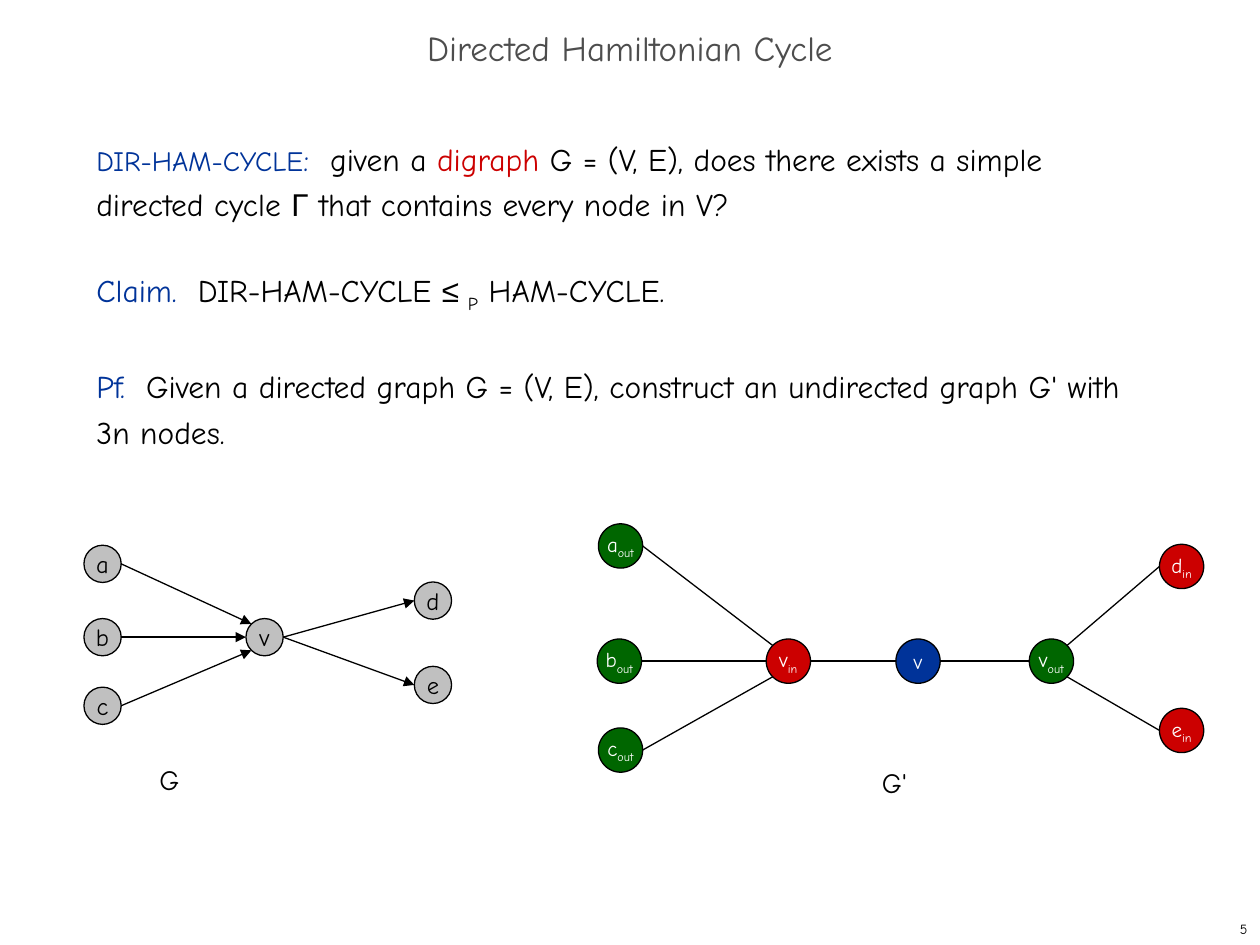
from math import cos, radians, sin
from typing import NamedTuple, Optional

from lxml.etree import SubElement
from pptx import Presentation
from pptx.dml.color import RGBColor
from pptx.enum.shapes import MSO_CONNECTOR as Link, MSO_SHAPE as Shape
from pptx.enum.text import MSO_ANCHOR as Anchor, MSO_AUTO_SIZE as AutoSize, PP_ALIGN as Align
from pptx.oxml.ns import qn
from pptx.util import Pt

BLACK = RGBColor(0x00, 0x00, 0x00)
WHITE = RGBColor(0xFF, 0xFF, 0xFF)
SLATE = RGBColor(0x4D, 0x4D, 0x4D)
GRAY = RGBColor(0xC0, 0xC0, 0xC0)
BLUE = RGBColor(0x00, 0x33, 0x99)
RED = RGBColor(0xCC, 0x00, 0x00)
GREEN = RGBColor(0x00, 0x66, 0x00)
FONT = "Comic Neue"

# Directions from a node's centre, in degrees clockwise from the right
RIGHT, LOWER_RIGHT, LOWER_LEFT, LEFT, UPPER_LEFT, UPPER_RIGHT = 0, 45, 135, 180, 225, 315


class Span(NamedTuple):
    text: str
    color: RGBColor = BLACK
    size: float = 18
    font: str = FONT
    subscript: bool = False


class Node(NamedTuple):
    x: float
    y: float
    label: str
    subscript: str = ""
    fill: RGBColor = GRAY


class Edge(NamedTuple):
    start: str
    start_angle: float
    end: str
    end_angle: float


class Graph(NamedTuple):
    nodes: dict[str, Node]
    edges: list[Edge]
    diameter: float
    text_size: float
    text_color: RGBColor
    directed: bool


def add_spans(para, spans: list[Span]) -> None:
    for span in spans:
        run = para.add_run()
        run.text = span.text
        run.font.size = Pt(span.size)
        run.font.name = span.font
        run.font.color.rgb = span.color
        if span.subscript:
            run.font._element.set("baseline", "-25000")


def add_text(page, left: float, top: float, width: float, height: float,
             paragraphs: list[list[Span]], line_pitch: Optional[float] = None,
             align: Align = Align.LEFT, anchor: Anchor = Anchor.TOP) -> None:
    box = page.shapes.add_textbox(Pt(left), Pt(top), Pt(width), Pt(height))
    frame = box.text_frame
    frame.word_wrap = True
    frame.vertical_anchor = anchor
    for index, spans in enumerate(paragraphs):
        para = frame.add_paragraph() if index else frame.paragraphs[0]
        para.alignment = align
        if line_pitch:
            para.line_spacing = Pt(line_pitch)
            if index:
                para.space_before = Pt(line_pitch)
        add_spans(para, spans)


def add_node(page, node: Node, graph: Graph) -> None:
    size = graph.diameter
    circle = page.shapes.add_shape(Shape.OVAL, Pt(node.x - size / 2), Pt(node.y - size / 2),
                                   Pt(size), Pt(size))
    circle.shadow.inherit = False
    circle.fill.solid()
    circle.fill.fore_color.rgb = node.fill
    circle.line.color.rgb = BLACK
    circle.line.width = Pt(0.75)
    frame = circle.text_frame
    frame.word_wrap = False
    frame.vertical_anchor = Anchor.MIDDLE
    para = frame.paragraphs[0]
    para.alignment = Align.CENTER
    spans = [Span(node.label, graph.text_color, graph.text_size)]
    if node.subscript:
        spans.append(Span(node.subscript, graph.text_color, graph.text_size, subscript=True))
    add_spans(para, spans)


def rim_point(node: Node, angle: float, diameter: float) -> tuple[Pt, Pt]:
    turn = radians(angle)
    return Pt(node.x + diameter / 2 * cos(turn)), Pt(node.y + diameter / 2 * sin(turn))


def add_edge(page, edge: Edge, graph: Graph) -> None:
    start = rim_point(graph.nodes[edge.start], edge.start_angle, graph.diameter)
    end = rim_point(graph.nodes[edge.end], edge.end_angle, graph.diameter)
    line = page.shapes.add_connector(Link.STRAIGHT, *start, *end)
    line.line.color.rgb = BLACK
    line.line.width = Pt(0.75)
    if graph.directed:
        SubElement(line.line._get_or_add_ln(), qn("a:tailEnd"), type="triangle")
    SubElement(line._element.spPr, qn("a:effectLst"))


def add_graph(page, graph: Graph) -> None:
    for node in graph.nodes.values():
        add_node(page, node, graph)
    for edge in graph.edges:
        add_edge(page, edge, graph)


STATEMENTS = [
    [Span("DIR-HAM-CYCLE", BLUE, 16), Span(":  ", BLUE), Span("given a "), Span("digraph", RED),
     Span(" G = (V, E), does there exists a simple directed cycle "),
     Span("Γ", font="Arial"), Span(" that contains every node in V?")],
    [Span("Claim.  ", BLUE), Span("DIR-HAM-CYCLE "), Span("≤ ", font="Arial"),
     Span("P", subscript=True), Span(" HAM-CYCLE.")],
    [Span("Pf.  ", BLUE),
     Span("Given a directed graph G = (V, E), construct an undirected graph G' with 3n nodes.")],
]

DIGRAPH = Graph(
    nodes={
        "v": Node(151.2, 364.1, "v"),
        "a": Node(58.6, 322.2, "a"),
        "b": Node(58.6, 364.1, "b"),
        "c": Node(58.6, 403.3, "c"),
        "d": Node(247.4, 343.2, "d"),
        "e": Node(247.4, 391.4, "e"),
    },
    edges=[
        Edge("a", RIGHT, "v", UPPER_LEFT),
        Edge("b", RIGHT, "v", LEFT),
        Edge("c", RIGHT, "v", LOWER_LEFT),
        Edge("v", RIGHT, "d", LEFT),
        Edge("v", RIGHT, "e", LEFT),
    ],
    diameter=21.3, text_size=14, text_color=BLACK, directed=True)

UNDIRECTED = Graph(
    nodes={
        "a": Node(354.6, 312, "a", "out", GREEN),
        "b": Node(353.9, 377.8, "b", "out", GREEN),
        "c": Node(354.6, 428.6, "c", "out", GREEN),
        "v in": Node(450.5, 377.8, "v", "in", RED),
        "v": Node(524.6, 377.8, "v", fill=BLUE),
        "v out": Node(600.8, 377.8, "v", "out", GREEN),
        "d": Node(675.2, 323.7, "d", "in", RED),
        "e": Node(675.2, 417.4, "e", "in", RED),
    },
    edges=[
        Edge("a", RIGHT, "v in", UPPER_LEFT),
        Edge("b", RIGHT, "v in", LEFT),
        Edge("c", RIGHT, "v in", LOWER_LEFT),
        Edge("v in", RIGHT, "v", LEFT),
        Edge("v", RIGHT, "v out", LEFT),
        Edge("v out", UPPER_RIGHT, "d", LEFT),
        Edge("v out", LOWER_RIGHT, "e", LEFT),
    ],
    diameter=25.3, text_size=12, text_color=WHITE, directed=False)


def main() -> None:
    deck = Presentation()
    deck.slide_width, deck.slide_height = Pt(720), Pt(540)
    page = deck.slides.add_slide(deck.slide_layouts[5])

    # Title
    title = page.shapes.title
    title.left, title.top, title.width, title.height = Pt(0), Pt(12), Pt(720), Pt(36)
    title.text_frame.auto_size = AutoSize.NONE
    title.text_frame.vertical_anchor = Anchor.MIDDLE
    heading = title.text_frame.paragraphs[0]
    heading.alignment = Align.CENTER
    heading.line_spacing = 0.7
    add_spans(heading, [Span("Directed Hamiltonian Cycle", SLATE, 20)])

    # Problem, claim and proof
    add_text(page, 48, 72, 618, 426, STATEMENTS, line_pitch=26)

    # Both graphs with their names
    add_graph(page, DIGRAPH)
    add_graph(page, UNDIRECTED)
    add_text(page, 84, 432, 72, 26.6, [[Span("G", size=16)]])
    add_text(page, 496.8, 434.2, 72, 26.6, [[Span("G'", size=16)]])

    # Page number
    add_text(page, 570, 522, 150, 18, [[Span("5", size=8)]],
             align=Align.RIGHT, anchor=Anchor.MIDDLE)

    deck.save("out.pptx")


if __name__ == "__main__":
    main()
